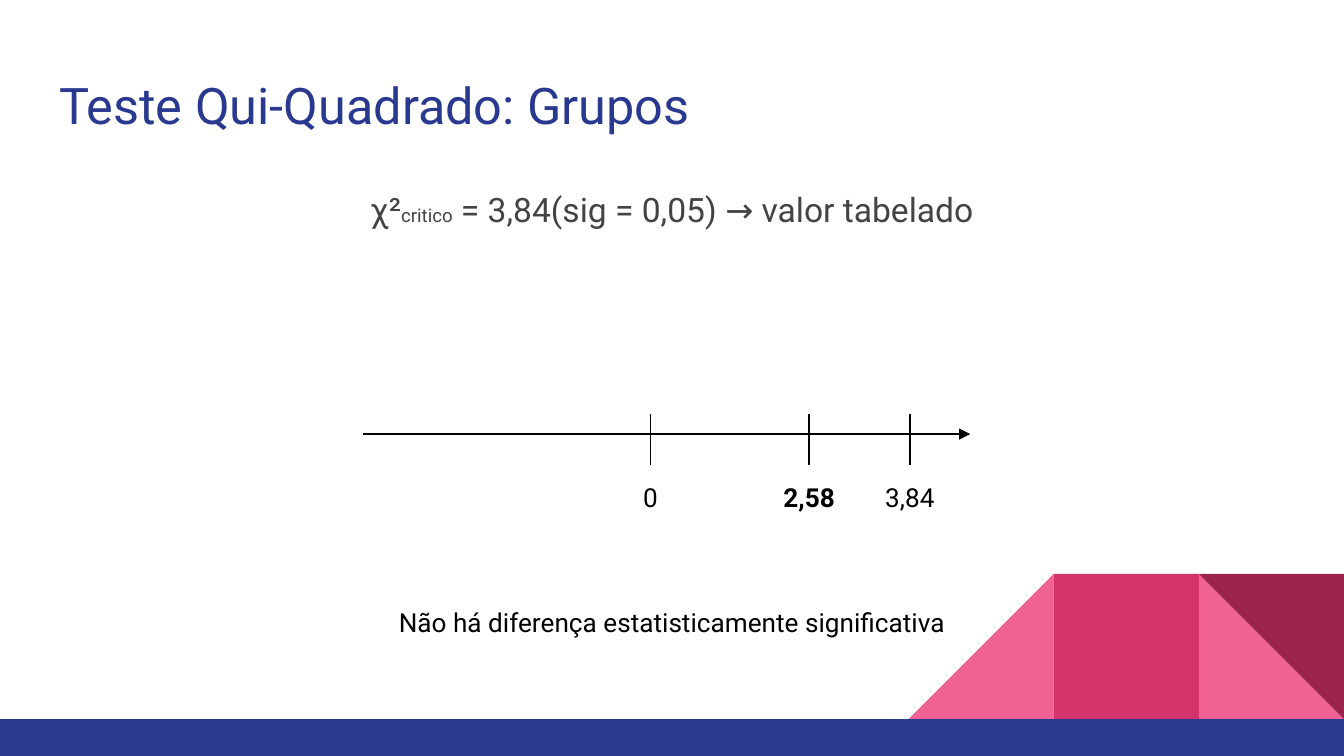
import dataclasses

import lxml.etree
import pptx
import pptx.dml.color
import pptx.enum.shapes
import pptx.enum.text
import pptx.oxml.ns
import pptx.util

Inches = pptx.util.Inches
Pt = pptx.util.Pt
Shape = pptx.enum.shapes.MSO_SHAPE
Align = pptx.enum.text.PP_ALIGN


@dataclasses.dataclass(frozen=True)
class Theme:
    font: str = "Roboto"
    navy: str = "2A3990"
    gray: str = "434343"
    black: str = "000000"
    pink: str = "F06292"
    magenta: str = "D23369"
    wine: str = "9C254D"
    title_size: int = 27
    formula_size: int = 18
    subscript_size: int = 10
    label_size: int = 14
    line_width: float = 0.75


THEME = Theme()


def rgb(color):
    return pptx.dml.color.RGBColor.from_string(color)


def add_xml(parent, tag, **attributes):
    return lxml.etree.SubElement(parent, pptx.oxml.ns.qn(tag), **attributes)


def place(shape, left, top, width, height):
    shape.left, shape.top = Inches(left), Inches(top)
    shape.width, shape.height = Inches(width), Inches(height)


def prepare_frame(shape, wrap=True):
    frame = shape.text_frame
    frame.word_wrap = wrap
    frame.auto_size = pptx.enum.text.MSO_AUTO_SIZE.NONE
    frame.vertical_anchor = pptx.enum.text.MSO_ANCHOR.TOP
    frame.margin_left = frame.margin_right = Inches(0.1)
    frame.margin_top = frame.margin_bottom = Inches(0.1)
    return frame.paragraphs[0]


def add_run(paragraph, text, size, color, bold=False):
    run = paragraph.add_run()
    run.text = text
    run.font.name = THEME.font
    run.font.size = Pt(size)
    run.font.bold = bold
    run.font.color.rgb = rgb(color)


def add_block(slide, kind, left, top, width, height, color, rotation=0):
    block = slide.shapes.add_shape(
        kind, Inches(left), Inches(top), Inches(width), Inches(height))
    block.shadow.inherit = False
    block.fill.solid()
    block.fill.fore_color.rgb = rgb(color)
    block.line.fill.background()
    block.rotation = rotation


def add_line(slide, x1, y1, x2, y2, arrow=False):
    line = slide.shapes.add_connector(
        pptx.enum.shapes.MSO_CONNECTOR.STRAIGHT,
        Inches(x1), Inches(y1), Inches(x2), Inches(y2))
    line.line.color.rgb = rgb(THEME.black)
    line.line.width = Pt(THEME.line_width)
    if arrow:
        add_xml(line.line._get_or_add_ln(), "a:tailEnd", type="triangle")
    add_xml(line._element.spPr, "a:effectLst")


def add_label(slide, text, center, top, width, bold=False, wrap=False):
    label = slide.shapes.add_textbox(
        Inches(center - width / 2), Inches(top), Inches(width), Inches(0.44))
    paragraph = prepare_frame(label, wrap)
    paragraph.alignment = Align.CENTER
    add_run(paragraph, text, THEME.label_size, THEME.black, bold)


def add_decoration(slide):
    side, top = 1.08, 4.27
    columns = [10 - side * n for n in (3, 2, 1)]
    triangle = Shape.RIGHT_TRIANGLE
    for kind, left, color, rotation in (
        (triangle, columns[2], THEME.pink, 0),
        (triangle, columns[0], THEME.pink, 270),
        (Shape.RECTANGLE, columns[1], THEME.magenta, 0),
        (triangle, columns[2], THEME.wine, 180),
    ):
        add_block(slide, kind, left, top, side, side, color, rotation)
    add_block(slide, Shape.RECTANGLE, 0, top + side, 10, 0.28, THEME.navy)


def fill_title(slide):
    title = slide.shapes.title
    place(title, 0.34, 0.45, 9.32, 0.66)
    paragraph = prepare_frame(title)
    paragraph.alignment = Align.LEFT
    add_run(paragraph, "Teste Qui-Quadrado: Grupos", THEME.title_size, THEME.navy)


def fill_formula(slide):
    body = slide.placeholders[1]
    place(body, 0.34, 1.26, 9.32, 3.65)
    paragraph = prepare_frame(body)
    paragraph.alignment = Align.CENTER
    paragraph.line_spacing = 1.15
    paragraph.space_before = Pt(0)
    paragraph.space_after = Pt(12)
    properties = paragraph._p.get_or_add_pPr()
    properties.set("marL", "0")
    properties.set("indent", "0")
    add_xml(properties, "a:buNone")
    for text, size in (
        ("χ²", THEME.formula_size),
        ("critico", THEME.subscript_size),
        (" = 3,84(sig = 0,05) → valor tabelado", THEME.formula_size),
    ):
        add_run(paragraph, text, size, THEME.gray)


def add_number_line(slide):
    add_line(slide, 2.7, 3.23, 7.22, 3.23, arrow=True)
    for value, x, width, bold in (
        ("0", 4.84, 0.31, False),
        ("2,58", 6.02, 0.59, True),
        ("3,84", 6.77, 0.59, False),
    ):
        add_line(slide, x, 3.08, x, 3.46)
        add_label(slide, value, x, 3.48, width, bold)


def main():
    deck = pptx.Presentation()
    deck.slide_width = Inches(10)
    deck.slide_height = deck.slide_width * 9 // 16
    slide = deck.slides.add_slide(deck.slide_layouts[1])
    add_decoration(slide)
    fill_title(slide)
    fill_formula(slide)
    add_number_line(slide)
    add_label(slide, "Não há diferença estatisticamente significativa",
              5, 4.41, 8.02, wrap=True)
    deck.save("out.pptx")


if __name__ == "__main__":
    main()
